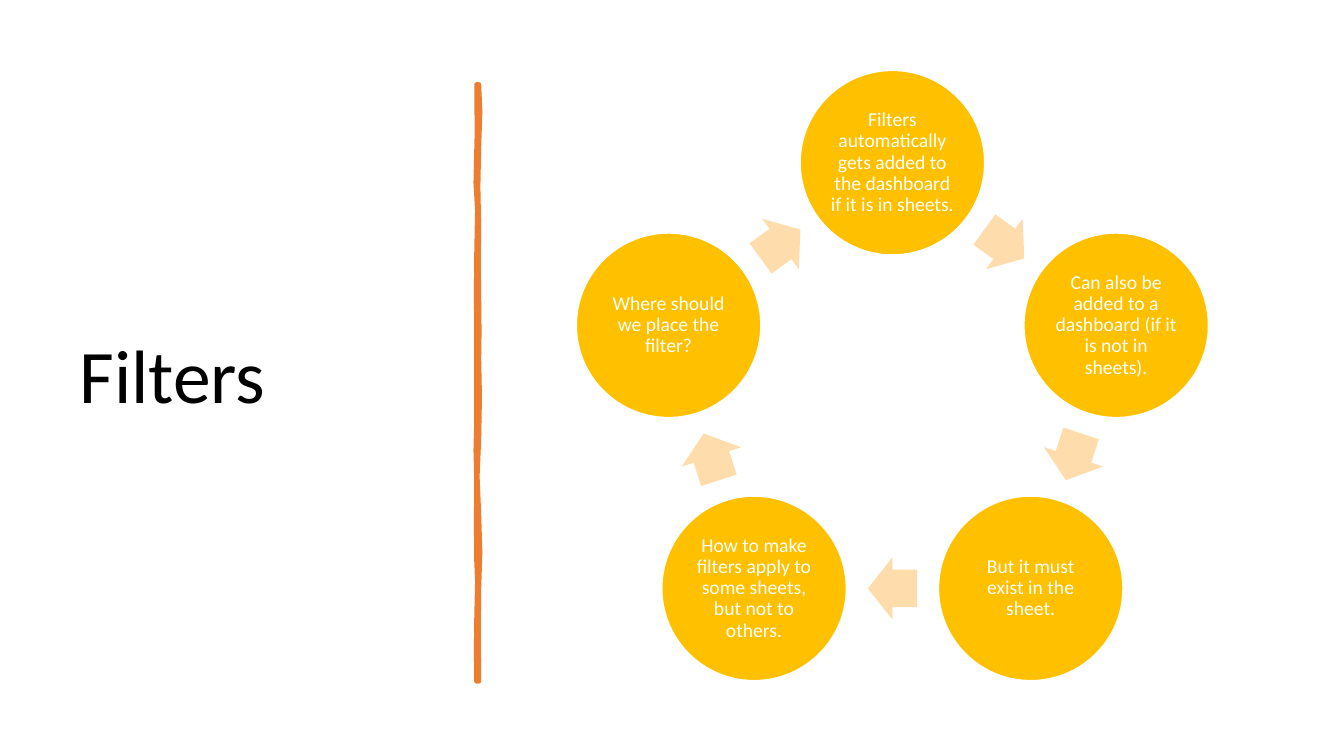
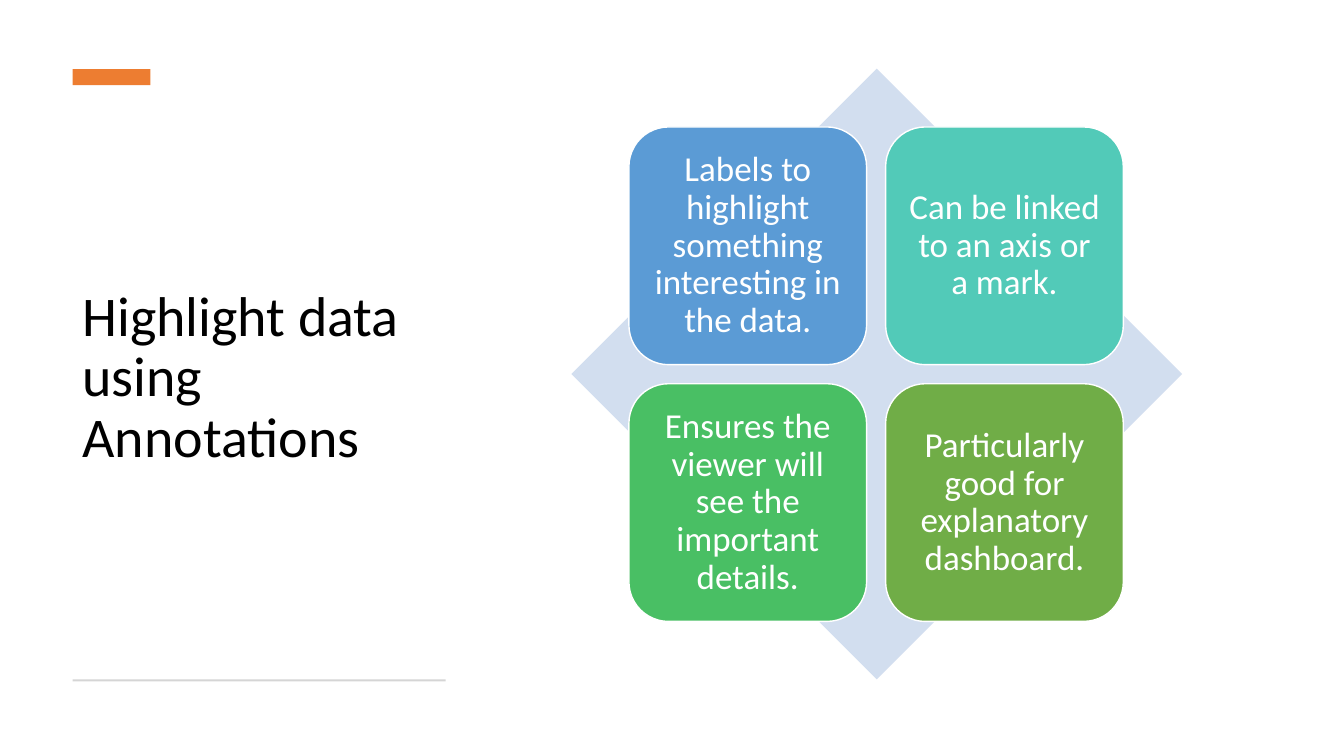
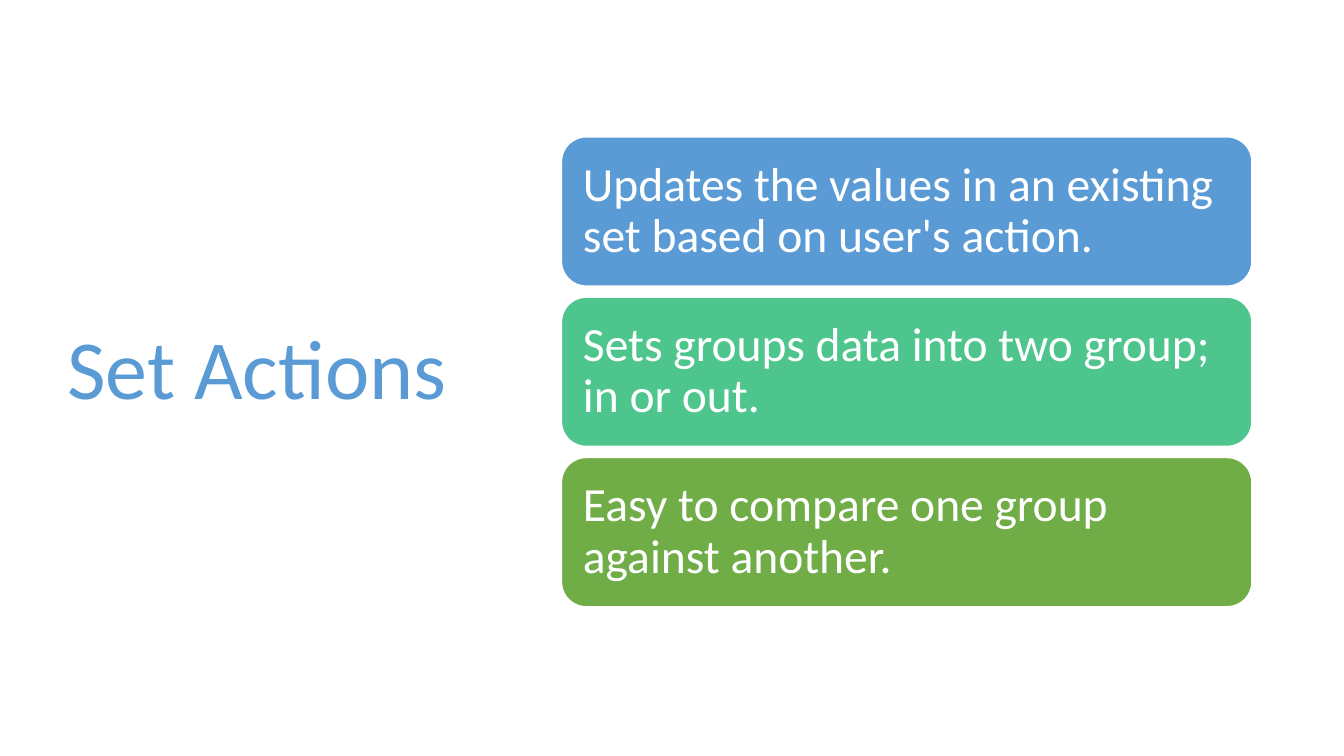
import math
from dataclasses import dataclass

import pptx
import pptx.dml.color
import pptx.enum.shapes
import pptx.enum.text
import pptx.oxml.ns
import pptx.util
from lxml import etree

Cm = pptx.util.Cm
Pt = pptx.util.Pt
Kind = pptx.enum.shapes.MSO_SHAPE
Align = pptx.enum.text.PP_ALIGN


@dataclass(frozen=True)
class Theme:
    font: str = "Calibri"
    black: str = "000000"
    white: str = "FFFFFF"
    orange: str = "ED7D31"
    gold: str = "FFC000"
    peach: str = "FFDCAB"
    grey: str = "D5D5D5"
    pale: str = "D2DEEF"
    blue: str = "5B9BD5"
    teal: str = "52CAB8"
    mint: str = "4DC58D"
    green: str = "49BF64"
    olive: str = "70AD47"
    small: int = 14
    body: int = 25
    large: int = 34
    title: int = 54
    long: int = 40
    huge: int = 60


class Deck:
    def __init__(self, theme):
        self.theme = theme
        self.show = pptx.Presentation()
        self.show.slide_width = Cm(33.87)
        self.show.slide_height = Cm(19.05)
        self.slide = None

    def page(self):
        self.slide = self.show.slides.add_slide(self.show.slide_layouts[6])

    def tint(self, code):
        return pptx.dml.color.RGBColor.from_string(code)

    def label(self, frame, text, size, color, align):
        frame.word_wrap = True
        frame.vertical_anchor = pptx.enum.text.MSO_ANCHOR.MIDDLE
        para = frame.paragraphs[0]
        para.text = text
        para.alignment = align
        para.line_spacing = 0.9
        para.font.name = self.theme.font
        para.font.size = Pt(size)
        para.font.color.rgb = self.tint(color)

    def title(self, text, left, top, width, height, size, color):
        box = self.slide.shapes.add_textbox(Cm(left), Cm(top), Cm(width), Cm(height))
        self.label(box.text_frame, text, size, color, Align.LEFT)

    def paint(self, shape, fill, line=None, weight=1):
        shape.shadow.inherit = False
        shape.fill.solid()
        shape.fill.fore_color.rgb = self.tint(fill)
        if line:
            shape.line.color.rgb = self.tint(line)
            shape.line.width = Pt(weight)
        else:
            shape.line.fill.background()

    def shape(self, kind, left, top, width, height, fill, line=None):
        item = self.slide.shapes.add_shape(kind, Cm(left), Cm(top), Cm(width), Cm(height))
        self.paint(item, fill, line)
        return item

    def card(self, kind, left, top, width, height, fill, text, size, pad, align=Align.CENTER):
        item = self.shape(kind, left, top, width, height, fill, self.theme.white)
        frame = item.text_frame
        frame.margin_left = frame.margin_right = Cm(pad)
        frame.margin_top = frame.margin_bottom = Cm(pad)
        self.label(frame, text, size, self.theme.white, align)

    def arrow(self, mid_x, mid_y, width, height, turn, fill):
        item = self.shape(Kind.RIGHT_ARROW, mid_x - width / 2, mid_y - height / 2, width, height, fill)
        item.adjustments[0] = 0.6
        item.adjustments[1] = 0.5
        item.rotation = turn

    def stroke(self, points, color, weight):
        grid = [(round(x * 100), round(y * 100)) for x, y in points]
        pen = self.slide.shapes.build_freeform(*grid[0], scale=Cm(0.01))
        pen.add_line_segments(grid[1:], close=True)
        item = pen.convert_to_shape()
        self.paint(item, color, color, weight)
        line = item.element.spPr.find(pptx.oxml.ns.qn("a:ln"))
        etree.SubElement(line, pptx.oxml.ns.qn("a:round"))


def filters(deck):
    look = deck.theme
    deck.page()
    deck.title("Filters", 1.75, 1.78, 9.5, 15.52, look.title, look.black)
    right = [
        (12.07, 2.13), (12.1, 2.8), (12.07, 3.71), (12.05, 4.7), (12.07, 5.74),
        (12.06, 6.6), (12.07, 7.47), (12.08, 8.38), (12.07, 9.04), (12.09, 10),
        (12.07, 11.07), (12.03, 12), (12.07, 12.95), (12.1, 13.92), (12.07, 14.83),
        (12.06, 15.95), (12.07, 17.17),
    ]
    left = [
        (12.01, 17.17), (12, 16.38), (12.01, 15.57), (12.03, 14.66), (12.01, 14.15),
        (12, 13.13), (12.01, 12.12), (11.99, 11.35), (12.01, 10.54), (12.01, 8.51),
        (12, 7.4), (12.01, 6.35), (12.03, 5.3), (11.99, 4.6), (12.02, 3.35), (12.01, 2.13),
    ]
    deck.stroke(right + left, look.orange, 3.25)

    notes = [
        "Filters automatically gets added to the dashboard if it is in sheets.",
        "Can also be added to a dashboard (if it is not in sheets).",
        "But it must exist in the sheet.",
        "How to make filters apply to some sheets, but not to others.",
        "Where should we place the filter?",
    ]
    mid_x, mid_y, reach, size = 22.49, 10.03, 5.93, 4.65
    step = 360 / len(notes)
    inner = reach * math.cos(math.radians(step / 2))

    def spot(turn, dist):
        angle = math.radians(turn)
        return mid_x + dist * math.sin(angle), mid_y - dist * math.cos(angle)

    for i, note in enumerate(notes):
        x, y = spot(i * step, reach)
        deck.card(Kind.OVAL, x - size / 2, y - size / 2, size, size, look.gold, note, look.small, 0.05)
        turn = (i + 0.5) * step
        deck.arrow(*spot(turn, inner), 1.24, 1.57, turn, look.peach)


def marks(deck):
    look = deck.theme
    deck.page()
    deck.title("Highlight data using Annotations", 1.83, 2.67, 9.4, 13.74, look.long, look.black)
    deck.shape(Kind.RECTANGLE, 1.83, 1.74, 1.96, 0.41, look.orange)
    deck.shape(Kind.RECTANGLE, 1.83, 17.12, 9.4, 0.05, look.grey)
    deck.shape(Kind.DIAMOND, 14.4, 1.73, 15.39, 15.39, look.pale)
    tiles = [
        ("Labels to highlight something interesting in the data.", look.blue),
        ("Can be linked to an axis or a mark.", look.teal),
        ("Ensures the viewer will see the important details.", look.green),
        ("Particularly good for explanatory dashboard.", look.olive),
    ]
    size, pitch = 5.99, 6.47
    for i, (text, fill) in enumerate(tiles):
        row, col = divmod(i, 2)
        deck.card(Kind.ROUNDED_RECTANGLE, 15.85 + col * pitch, 3.2 + row * pitch,
                  size, size, fill, text, look.body, 0.25)


def sets(deck):
    look = deck.theme
    deck.page()
    deck.title("Set Actions", 1.45, 1.73, 10.57, 15.29, look.huge, look.blue)
    bars = [
        ("Updates the values in an existing set based on user's action.", look.blue),
        ("Sets groups data into two group; in or out.", look.mint),
        ("Easy to compare one group against another.", look.olive),
    ]
    for i, (text, fill) in enumerate(bars):
        deck.card(Kind.ROUNDED_RECTANGLE, 14.15, 3.45 + i * 4.04, 17.4, 3.76,
                  fill, text, look.large, 0.36, Align.LEFT)


def main():
    deck = Deck(Theme())
    filters(deck)
    marks(deck)
    sets(deck)
    deck.show.save("out.pptx")


if __name__ == "__main__":
    main()
